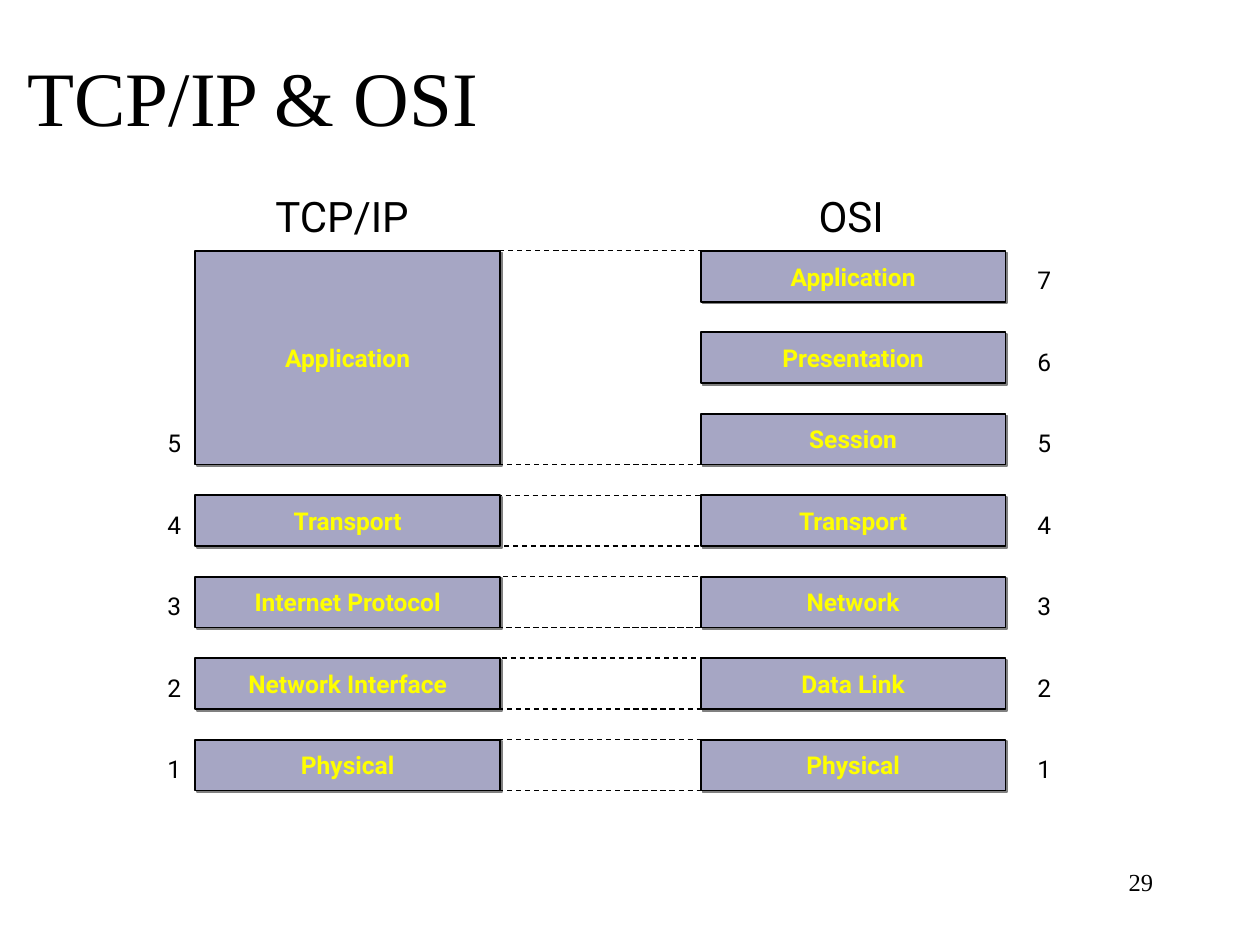
from dataclasses import dataclass

from lxml import etree
from pptx import Presentation
from pptx.dml.color import RGBColor
from pptx.enum import dml, shapes, text
from pptx.oxml import ns
from pptx.util import Pt

HUES = {"ink": "000000", "box": "A6A6C4", "label": "FFFF00", "shade": "808080"}
SANS, SERIF = "Roboto", "Times New Roman"
TOP, STEP, HIGH, WIDE = 143.3, 46.56, 29.1, 174.2
LINK = 126
ALIGN = text.PP_ALIGN


@dataclass
class Layer:
    name: str
    num: int
    row: int
    span: int = 1


@dataclass
class Stack:
    title: str
    left: float
    head: float
    nums: float
    layers: list[Layer]


@dataclass
class Link:
    row: int
    left: float
    base: bool = False


STACKS = [
    Stack("TCP/IP", 111.6, 147.6, 88.6, [
        Layer("Application", 5, 0, 3), Layer("Transport", 4, 3),
        Layer("Internet Protocol", 3, 4), Layer("Network Interface", 2, 5),
        Layer("Physical", 1, 6)]),
    Stack("OSI", 400.4, 438.5, 585.7, [
        Layer(name, 7 - row, row) for row, name in enumerate(
            ["Application", "Presentation", "Session", "Transport",
             "Network", "Data Link", "Physical"])]),
]
LINKS = [
    Link(0, 280.1), Link(2, 279.4, True),
    Link(3, 278.6), Link(3, 283, True),
    Link(4, 282.2), Link(4, 273.6, True), Link(4, 279.4, True),
    Link(5, 281.5), Link(5, 279.4, True),
    Link(6, 279.4), Link(6, 279.4, True),
]


def hue(key: str) -> RGBColor:
    return RGBColor.from_string(HUES[key])


def write(frame, words: str, size: float, face: str = SANS, key: str = "ink",
          align=ALIGN.LEFT, bold: bool = False) -> None:
    frame.text = words
    para = frame.paragraphs[0]
    para.alignment = align
    font = para.runs[0].font
    font.size, font.name, font.bold = Pt(size), face, bold
    font.color.rgb = hue(key)


def add_text(slide, x: float, y: float, w: float, h: float, words: str,
             size: float, wrap: bool = True, **style) -> None:
    frame = slide.shapes.add_textbox(Pt(x), Pt(y), Pt(w), Pt(h)).text_frame
    frame.word_wrap = wrap
    write(frame, words, size, **style)


def add_shade(shape) -> None:
    shape.shadow.inherit = False
    effects = shape._element.spPr.find(ns.qn("a:effectLst"))
    outer = etree.SubElement(effects, ns.qn("a:outerShdw"), blurRad="0",
                             dist=str(int(Pt(1.4))), dir="2700000",
                             algn="ctr", rotWithShape="0")
    etree.SubElement(outer, ns.qn("a:srgbClr"), val=HUES["shade"])


def add_layer(slide, stack: Stack, layer: Layer) -> None:
    y = TOP + layer.row * STEP
    extra = (layer.span - 1) * STEP
    box = slide.shapes.add_shape(shapes.MSO_SHAPE.RECTANGLE, Pt(stack.left),
                                 Pt(y), Pt(WIDE), Pt(HIGH + extra))
    box.fill.solid()
    box.fill.fore_color.rgb = hue("box")
    box.line.color.rgb = hue("ink")
    box.line.width = Pt(1)
    add_shade(box)
    frame = box.text_frame
    frame.word_wrap = False
    frame.vertical_anchor = text.MSO_ANCHOR.MIDDLE
    write(frame, layer.name, 14, key="label", align=ALIGN.CENTER, bold=True)
    add_text(slide, stack.nums, y + extra + 4.8, 22.3, 23.8,
             str(layer.num), 14, wrap=False)


def add_link(slide, link: Link) -> None:
    y = Pt(TOP + link.row * STEP + (HIGH if link.base else 0))
    line = slide.shapes.add_connector(shapes.MSO_CONNECTOR.STRAIGHT,
                                      Pt(link.left), y, Pt(link.left + LINK), y)
    line.line.color.rgb = hue("ink")
    line.line.width = Pt(0.75)
    line.line.dash_style = dml.MSO_LINE.DASH
    etree.SubElement(line._element.spPr, ns.qn("a:effectLst"))


def main() -> None:
    deck = Presentation()
    deck.slide_width, deck.slide_height = Pt(720), Pt(540)
    slide = deck.slides.add_slide(deck.slide_layouts[5])

    # Title
    title = slide.shapes.title
    title.left, title.top, title.width, title.height = map(Pt, (8.6, 9.4, 612, 90))
    title.text_frame.vertical_anchor = text.MSO_ANCHOR.MIDDLE
    write(title.text_frame, "TCP/IP & OSI", 44, SERIF)

    # Protocol stacks with headings and layer numbers
    for stack in STACKS:
        add_text(slide, stack.head, 105.1, 95.8, 36, stack.title, 24,
                 align=ALIGN.CENTER)
        for layer in stack.layers:
            add_layer(slide, stack, layer)

    # Dashed links between matching layers
    for link in LINKS:
        add_link(slide, link)

    # Page number
    add_text(slide, 516.2, 491.8, 149.8, 36, "29", 14, face=SERIF,
             align=ALIGN.RIGHT)
    deck.save("out.pptx")


if __name__ == "__main__":
    main()
